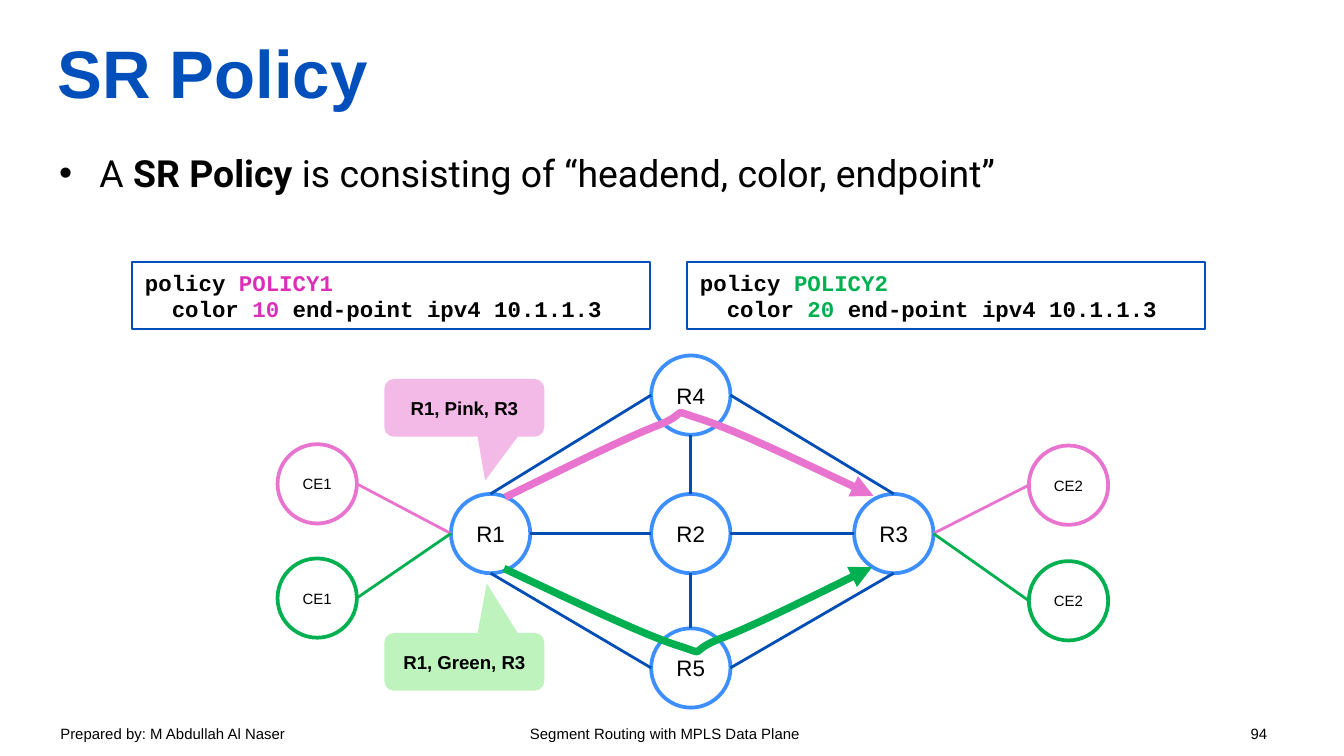
"""Build the SR Policy slide: a routed topology with two coloured policies."""
from lxml.etree import SubElement
from pptx import Presentation
from pptx.dml.color import RGBColor
from pptx.enum.shapes import MSO_CONNECTOR, MSO_SHAPE
from pptx.enum.text import MSO_ANCHOR, MSO_AUTO_SIZE, PP_ALIGN
from pptx.oxml.ns import qn
from pptx.util import Inches, Pt

BLACK = RGBColor(0x00, 0x00, 0x00)
BLUE = RGBColor(0x00, 0x4F, 0xBB)
LINK_BLUE = RGBColor(0x00, 0x4D, 0xB6)
RING_BLUE = RGBColor(0x3D, 0x8F, 0xFF)
PINK = RGBColor(0xE8, 0x74, 0xD0)
DEEP_PINK = RGBColor(0xDC, 0x2F, 0xB9)
PALE_PINK = RGBColor(0xF3, 0xBA, 0xE8)
GREEN = RGBColor(0x00, 0xB0, 0x50)
PALE_GREEN = RGBColor(0xBF, 0xF3, 0xBE)

TITLE = "SR Policy"
BULLET = [("A ", False), ("SR Policy ", True),
          ("is consisting of “headend, color, endpoint”", False)]
FOOTER = ["Prepared by: M Abdullah Al Naser", "Segment Routing with MPLS Data Plane", "94"]
FOOTER_TABS = [("ctr", 4.5), ("r", 8.98)]
POLICIES = [("POLICY1", "10", DEEP_PINK), ("POLICY2", "20", GREEN)]
CALLOUTS = [("R1, Pink, R3", 2.82, PALE_PINK, (0.13, 1.26)),
            ("R1, Green, R3", 4.71, PALE_GREEN, (0.14, -1.36))]

DIAMETER = 0.59
LEFT, MIDDLE, RIGHT = 3.65, 5.14, 6.65
UPPER, CENTRE, LOWER = 2.94, 3.97, 4.97
NODES = {
    "R1": ("R1", LEFT, CENTRE, RING_BLUE, 12),
    "R2": ("R2", MIDDLE, CENTRE, RING_BLUE, 12),
    "R3": ("R3", RIGHT, CENTRE, RING_BLUE, 12),
    "R4": ("R4", MIDDLE, UPPER, RING_BLUE, 12),
    "R5": ("R5", MIDDLE, LOWER, RING_BLUE, 12),
    "pink CE1": ("CE1", 2.36, 3.6, PINK, 8),
    "pink CE2": ("CE2", 7.95, 3.61, PINK, 8),
    "green CE1": ("CE1", 2.36, 4.45, GREEN, 8),
    "green CE2": ("CE2", 7.95, 4.47, GREEN, 8),
}
SIDES = {"top": (0, -1), "left": (-1, 0), "bottom": (0, 1), "right": (1, 0)}
LINKS = [
    ("R1", "top", "R4", "left", LINK_BLUE),
    ("R1", "right", "R2", "left", LINK_BLUE),
    ("R1", "bottom", "R5", "left", LINK_BLUE),
    ("R4", "right", "R3", "top", LINK_BLUE),
    ("R2", "right", "R3", "left", LINK_BLUE),
    ("R5", "right", "R3", "bottom", LINK_BLUE),
    ("R2", "top", "R4", "bottom", LINK_BLUE),
    ("R5", "top", "R2", "bottom", LINK_BLUE),
    ("pink CE1", "right", "R1", "left", PINK),
    ("pink CE2", "left", "R3", "right", PINK),
    ("green CE1", "right", "R1", "left", GREEN),
    ("R3", "right", "green CE2", "left", GREEN),
]
UNITS_PER_INCH = 100
PINK_PATH = [(376, 370), (421, 348), (467, 325), (491, 316), (515, 306),
             (496, 304), (522, 312), (549, 321), (599, 345), (650, 369)]
GREEN_PATH = [(1025 - x, 792 - y) for x, y in reversed(PINK_PATH)]


def set_font(font, size, color=BLACK, bold=False, name="Arial"):
    font.name, font.size, font.bold = name, Pt(size), bold
    font.color.rgb = color


def place(shape, left, top, width, height):
    shape.left, shape.top = Inches(left), Inches(top)
    shape.width, shape.height = Inches(width), Inches(height)


def clear_margins(frame):
    frame.margin_left = frame.margin_right = frame.margin_top = frame.margin_bottom = 0
    frame.auto_size = MSO_AUTO_SIZE.NONE


def add_figure(page, kind, box, fill=None, line=None, weight=1):
    shape = page.shapes.add_shape(kind, *[Inches(value) for value in box])
    shape.shadow.inherit = False
    if fill is None:
        shape.fill.background()
    else:
        shape.fill.solid()
        shape.fill.fore_color.rgb = fill
    if line is None:
        shape.line.fill.background()
    else:
        shape.line.color.rgb = line
        shape.line.width = Pt(weight)
    return shape


def add_label(shape, text, size, bold=False):
    frame = shape.text_frame
    frame.word_wrap = False
    frame.vertical_anchor = MSO_ANCHOR.MIDDLE
    para = frame.paragraphs[0]
    para.text, para.alignment = text, PP_ALIGN.CENTER
    set_font(para.font, size, bold=bold)


def add_heading(page):
    title, body = page.placeholders
    place(title, 0.43, 0.06, 9.13, 0.94)
    clear_margins(title.text_frame)
    title.text_frame.vertical_anchor = MSO_ANCHOR.MIDDLE
    para = title.text_frame.paragraphs[0]
    para.text, para.alignment = TITLE, PP_ALIGN.LEFT
    set_font(para.font, 36, BLUE, True)
    place(body, 0.44, 1.12, 9.13, 4.13)
    clear_margins(body.text_frame)
    para = body.text_frame.paragraphs[0]
    para.space_before = Pt(12)
    properties = para._p.get_or_add_pPr()
    properties.set("marL", str(Inches(0.3)))
    properties.set("indent", str(Inches(-0.3)))
    SubElement(properties, qn("a:buChar")).set("char", "•")
    for text, bold in BULLET:
        span = para.add_run()
        span.text = text
        set_font(span.font, 20, bold=bold, name="Roboto")


def add_footer(page):
    box = page.shapes.add_textbox(Inches(0.35), Inches(5.34), Inches(9.32), Inches(0.25))
    box.text_frame.word_wrap = True
    para = box.text_frame.paragraphs[0]
    para.text = "\t".join(FOOTER)
    tabs = SubElement(para._p.get_or_add_pPr(), qn("a:tabLst"))
    for alignment, position in FOOTER_TABS:
        tab = SubElement(tabs, qn("a:tab"))
        tab.set("pos", str(Inches(position)))
        tab.set("algn", alignment)
    set_font(para.font, 8)


def add_policy(page, column, name, number, color):
    shape = add_figure(page, MSO_SHAPE.RECTANGLE, (0.98 + column * 4.13, 1.95, 3.86, 0.5), line=BLUE)
    frame = shape.text_frame
    frame.word_wrap = True
    frame.vertical_anchor = MSO_ANCHOR.TOP
    rows = [[("policy ", BLACK), (name, color)],
            [("color ", BLACK), (number, color), (" end-point ipv4 10.1.1.3", BLACK)]]
    for index, row in enumerate(rows):
        para = frame.add_paragraph() if index else frame.paragraphs[0]
        para.alignment = PP_ALIGN.LEFT
        para._p.get_or_add_pPr().set("marL", str(Inches(0.2 * index)))
        for text, tint in row:
            span = para.add_run()
            span.text = text
            set_font(span.font, 12, tint, True, "Courier New")


def side_point(node, side):
    _, x, y, _, _ = NODES[node]
    across, down = SIDES[side]
    return Inches(x + across * DIAMETER / 2), Inches(y + down * DIAMETER / 2)


def add_link(page, start, start_side, end, end_side, color):
    link = page.shapes.add_connector(
        MSO_CONNECTOR.STRAIGHT, *side_point(start, start_side), *side_point(end, end_side))
    link.line.color.rgb = color
    link.line.width = Pt(1.5)
    SubElement(link._element.spPr, qn("a:effectLst"))


def add_curve(page, points, color):
    builder = page.shapes.build_freeform(*points[0], scale=Inches(1) / UNITS_PER_INCH)
    builder.add_line_segments(points[1:], close=False)
    curve = builder.convert_to_shape()
    curve.shadow.inherit = False
    curve.fill.background()
    curve.line.color.rgb = color
    curve.line.width = Pt(4)
    SubElement(curve.line._get_or_add_ln(), qn("a:tailEnd")).set("type", "triangle")
    outline = next(curve._element.iter(qn("a:path")))
    segments = outline.findall(qn("a:lnTo"))
    for first in range(0, len(segments), 3):
        bezier = SubElement(outline, qn("a:cubicBezTo"))
        for segment in segments[first:first + 3]:
            bezier.append(segment[0])
            outline.remove(segment)


def main():
    deck = Presentation()
    deck.slide_width = Inches(10)
    deck.slide_height = deck.slide_width * 9 // 16
    page = deck.slides.add_slide(deck.slide_layouts[1])
    add_heading(page)
    add_footer(page)
    for text, x, y, color, size in NODES.values():
        box = (x - DIAMETER / 2, y - DIAMETER / 2, DIAMETER, DIAMETER)
        add_label(add_figure(page, MSO_SHAPE.OVAL, box, line=color, weight=2), text, size)
    for link in LINKS:
        add_link(page, *link)
    for text, top, fill, tip in CALLOUTS:
        callout = add_figure(page, MSO_SHAPE.ROUNDED_RECTANGULAR_CALLOUT, (2.86, top, 1.19, 0.43), fill)
        callout.adjustments[0], callout.adjustments[1] = tip
        add_label(callout, text, 10, True)
    for column, policy in enumerate(POLICIES):
        add_policy(page, column, *policy)
    add_curve(page, PINK_PATH, PINK)
    add_curve(page, GREEN_PATH, GREEN)
    deck.save("out.pptx")


if __name__ == "__main__":
    main()
